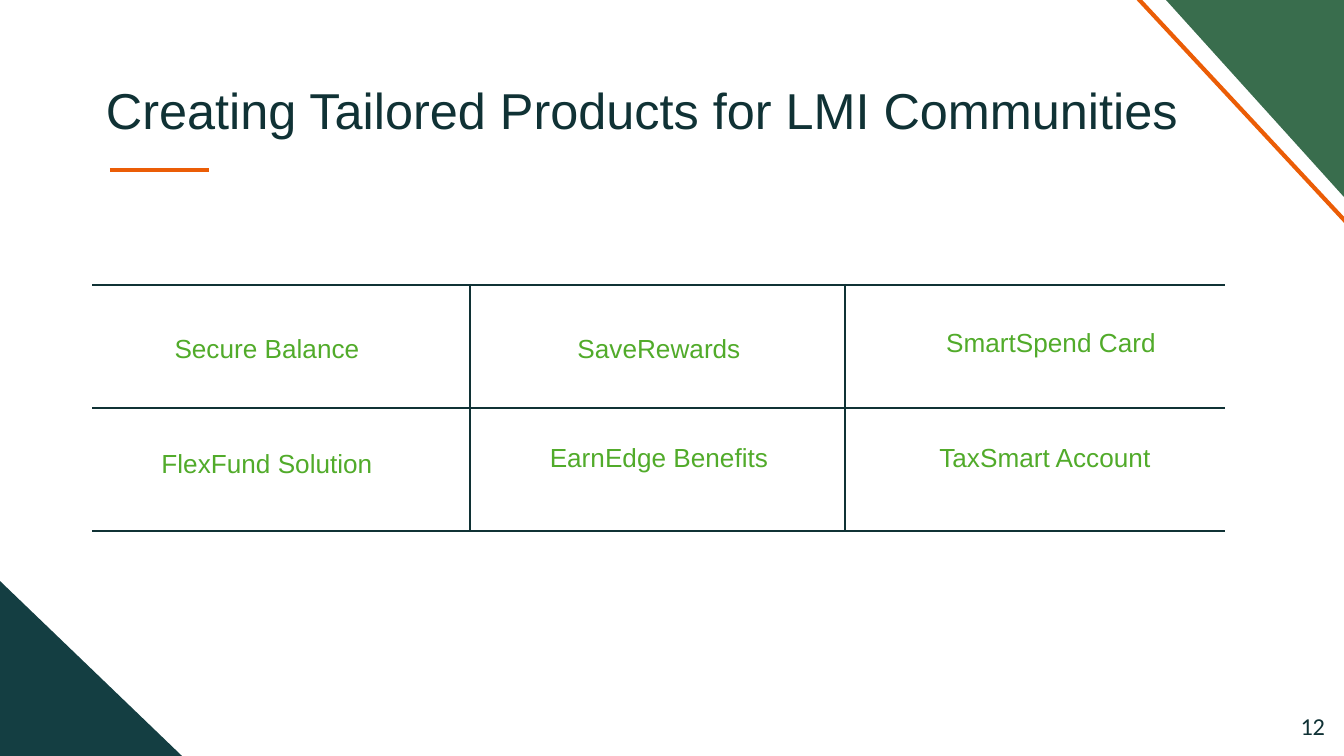
from lxml import etree
from pptx import Presentation
from pptx import util as u
from pptx.dml.color import RGBColor
from pptx.enum import shapes, text
from pptx.oxml import ns

PX = 914400 / 134.4
DARK = RGBColor(0x10, 0x32, 0x35)
TEAL = RGBColor(0x14, 0x3E, 0x42)
FOREST = RGBColor(0x39, 0x6D, 0x4D)
ORANGE = RGBColor(0xEB, 0x5D, 0x06)
GREEN = RGBColor(0x51, 0xAB, 0x2A)

COLUMN_WIDTHS = (378, 375, 380)
ROW_HEIGHT = 123

# Name, left, top, width, height of each label, relative to the grid
PRODUCTS = (
    ("Secure Balance", 0, 40, 350, 48),
    ("SaveRewards", 413, 40, 308, 48),
    ("SmartSpend Card", 784, 34, 350, 60),
    ("FlexFund Solution", 0, 155, 350, 60),
    ("EarnEdge Benefits", 413, 149, 308, 85),
    ("TaxSmart Account", 773, 149, 360, 70),
)


def px(*lengths):
    return [u.Emu(round(length * PX)) for length in lengths]


def add_text(page, box, words, size, color, font="Arial",
             align=text.PP_ALIGN.LEFT, inset=(13, 13)):
    frame = page.shapes.add_textbox(*px(*box)).text_frame
    frame.word_wrap = True
    frame.margin_left, frame.margin_top = px(*inset)
    frame.margin_right, frame.margin_bottom = px(*inset)
    frame.text = words
    para = frame.paragraphs[0]
    para.alignment = align
    span = para.runs[0]
    span.font.name = font
    span.font.size = u.Pt(size)
    span.font.color.rgb = color


def add_rule(page, x1, y1, x2, y2):
    rule = page.shapes.add_connector(
        shapes.MSO_CONNECTOR.STRAIGHT, *px(x1, y1, x2, y2))
    rule.line.color.rgb = ORANGE
    rule.line.width = u.Pt(2.25)
    etree.SubElement(rule._element.spPr, ns.qn("a:effectLst"))


def add_corner(page, box, color, rotation=0):
    corner = page.shapes.add_shape(
        shapes.MSO_SHAPE.RIGHT_TRIANGLE, *px(*box))
    corner.rotation = rotation
    corner.shadow.inherit = False
    corner.fill.solid()
    corner.fill.fore_color.rgb = color
    corner.line.fill.background()


def add_decoration(page, left, top, width, height):
    add_corner(page, (left, top + height - 175, 182, 175), TEAL)
    right = left + width
    add_rule(page, right - 212, top - 8, right + 3, top + 223)
    add_corner(page, (right - 178, top, 178, 197), FOREST, 180)


def add_heading(page, left, top, width, height):
    add_text(page, (left, top, width, height),
             "Creating Tailored Products for LMI Communities", 27, DARK)
    add_rule(page, left + 17, top + 104, left + 116, top + 104)


def set_borders(cell, sides):
    properties = cell._tc.get_or_add_tcPr()
    for side in "LRTB":
        line = etree.SubElement(properties, ns.qn(f"a:ln{side}"))
        if side in sides:
            line.set("w", str(u.Pt(1.5)))
            fill = etree.SubElement(line, ns.qn("a:solidFill"))
            etree.SubElement(fill, ns.qn("a:srgbClr"), val=str(DARK))
        else:
            etree.SubElement(line, ns.qn("a:noFill"))
    cell.fill.background()


def add_product_grid(page, left, top, width, height):
    table = page.shapes.add_table(
        2, 3, *px(left, top, width, height)).table
    table.first_row = table.horz_banding = False
    for column, column_width in zip(table.columns, px(*COLUMN_WIDTHS)):
        column.width = column_width
    for row in table.rows:
        row.height, = px(ROW_HEIGHT)
        # The outer left and right edges stay open
        for cell, sides in zip(row.cells, ("RTB", "LRTB", "LTB")):
            set_borders(cell, sides)

    for name, x, y, label_width, label_height in PRODUCTS:
        add_text(page, (left + x, top + y, label_width, label_height), name,
                 14, GREEN, align=text.PP_ALIGN.CENTER, inset=(13, 7))


def main():
    deck = Presentation()
    deck.slide_width, deck.slide_height = px(1344, 756)
    page = deck.slides.add_slide(deck.slide_layouts[6])

    add_decoration(page, 0, 0, 1344, 756)
    add_heading(page, 93, 66, 1133, 85)
    add_product_grid(page, 92, 285, sum(COLUMN_WIDTHS), 2 * ROW_HEIGHT)
    # Page number
    add_text(page, (1258, 698, 80, 58), "12", 13, DARK, "Calibri",
             text.PP_ALIGN.RIGHT)

    deck.save("out.pptx")


if __name__ == "__main__":
    main()
